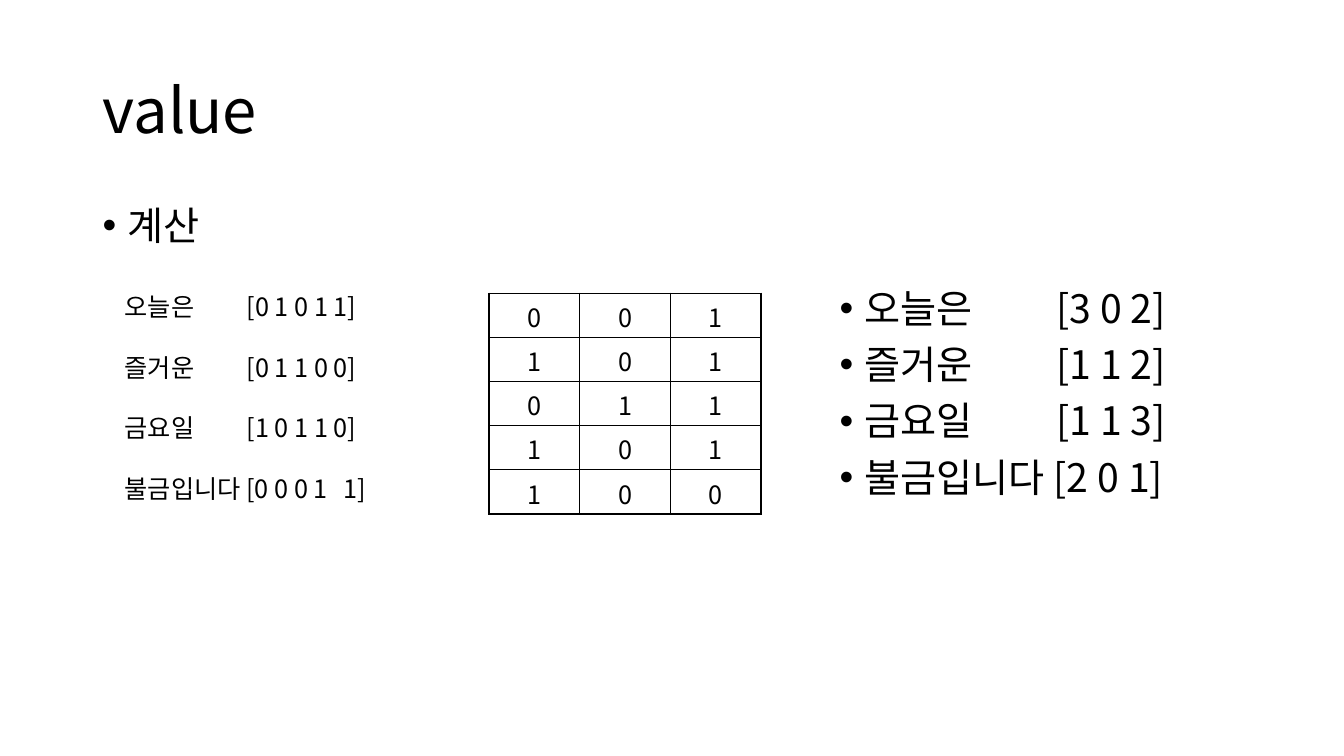
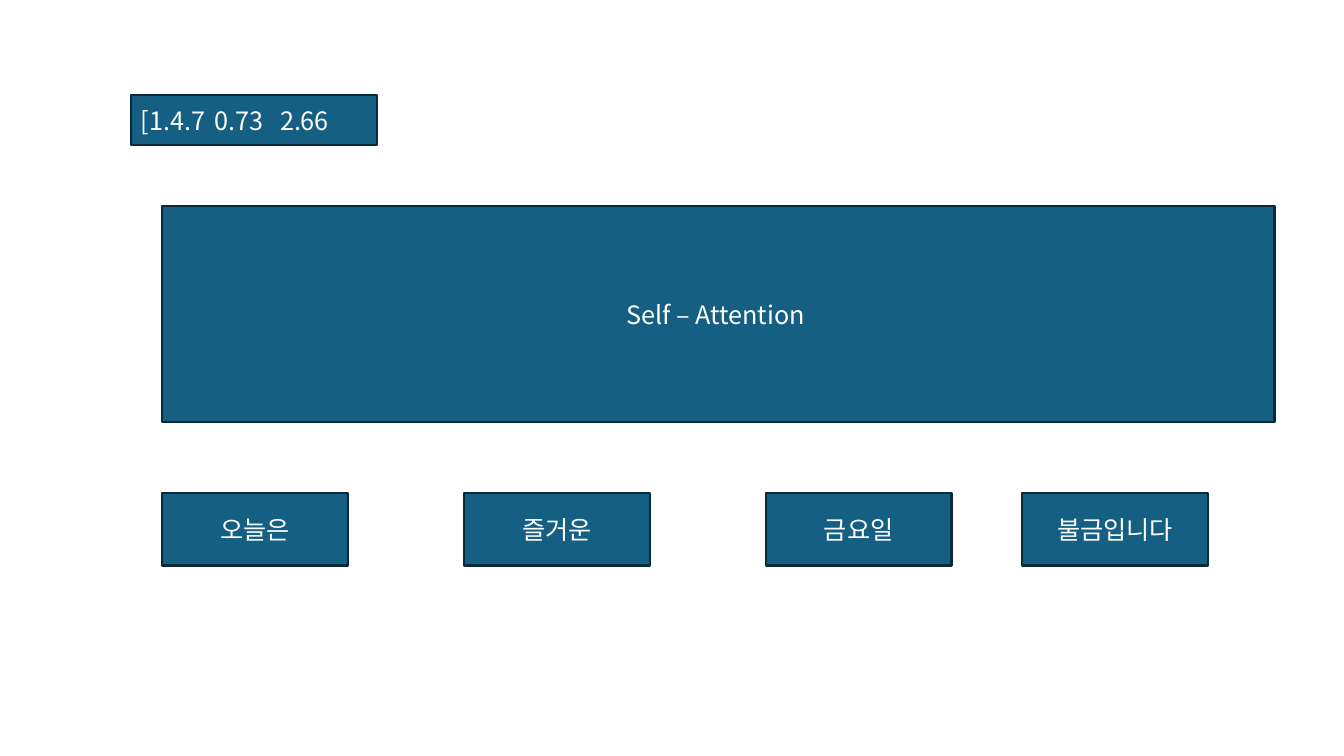
from dataclasses import dataclass

from lxml.etree import SubElement
from pptx import Presentation
from pptx.dml.color import RGBColor
from pptx.enum.shapes import MSO_SHAPE
from pptx.enum.text import MSO_ANCHOR, PP_ALIGN
from pptx.oxml.ns import qn
from pptx.util import Inches, Pt


@dataclass(frozen=True)
class Theme:
    font: str = "Noto Sans CJK KR"
    ink: str = "000000"
    paper: str = "FFFFFF"
    block: str = "156082"
    edge: str = "092A39"
    title: int = 44
    bullet: int = 28
    label: int = 18


THEME = Theme()
WIDTH, HEIGHT = Inches(13.33), Inches(7.5)
BULLET_FORMAT = {"line_spacing": 0.9, "space_before": Pt(10)}
WORDS = ["오늘은", "즐거운", "금요일", "불금입니다"]


def area(left, top, width, height):
    """Turn percentages of the slide into lengths."""
    return [int(share * side / 100) for share, side in
            zip((left, top, width, height), (WIDTH, HEIGHT) * 2)]


def apply(target, settings):
    for attribute, value in settings.items():
        setattr(target, attribute, value)


# Text
def write(paragraph, text, size, color, **settings):
    run = paragraph.add_run()
    run.text = text
    apply(run.font, {"name": THEME.font, "size": Pt(size)})
    run.font.color.rgb = RGBColor.from_string(color)
    SubElement(run.font._element, qn("a:ea"), typeface=THEME.font)
    apply(paragraph, settings)


def set_tabs(paragraph, stops):
    tabs = SubElement(paragraph._p.get_or_add_pPr(), qn("a:tabLst"))
    for stop in stops:
        SubElement(tabs, qn("a:tab"), pos=str(Inches(stop)), algn="l")


def set_bullet(paragraph):
    properties = paragraph._p.get_or_add_pPr()
    for side, indent in {"marL": 0.25, "indent": -0.25}.items():
        properties.set(side, str(Inches(indent)))
    SubElement(properties, qn("a:buFont"), typeface="Arial")
    SubElement(properties, qn("a:buChar"), char="•")


def add_lines(slide, place, lines, size, bulleted=False, stops=(),
              anchor=MSO_ANCHOR.TOP, **settings):
    frame = slide.shapes.add_textbox(*area(*place)).text_frame
    apply(frame, {"word_wrap": True, "vertical_anchor": anchor})
    for index, line in enumerate(lines):
        paragraph = frame.paragraphs[0] if index == 0 else frame.add_paragraph()
        write(paragraph, line, size, THEME.ink, **settings)
        if bulleted:
            set_bullet(paragraph)
        if "\t" in line:
            set_tabs(paragraph, stops[index])


def label_vectors(vectors):
    """Align vectors at a tab; the longest word takes a plain space."""
    gaps = ["\t"] * (len(WORDS) - 1) + [" "]
    return [word + gap + vector for word, gap, vector in zip(WORDS, gaps, vectors)]


# Table
def add_border(cell):
    properties = cell._tc.get_or_add_tcPr()
    for index, side in enumerate(("a:lnL", "a:lnR", "a:lnT", "a:lnB")):
        line = properties.makeelement(qn(side), {"w": str(Pt(1))})
        properties.insert(index, line)
        fill = SubElement(line, qn("a:solidFill"))
        SubElement(fill, qn("a:srgbClr"), val=THEME.ink)


def add_matrix(slide, place, rows):
    table = slide.shapes.add_table(len(rows), len(rows[0]), *area(*place)).table
    apply(table, {"first_row": False, "horz_banding": False})
    for row_index, row in enumerate(rows):
        for column_index, value in enumerate(row):
            cell = table.cell(row_index, column_index)
            cell.fill.background()
            write(cell.text_frame.paragraphs[0], value, THEME.label, THEME.ink,
                  alignment=PP_ALIGN.CENTER)
            add_border(cell)


# Blocks
def add_block(slide, place, text, alignment=PP_ALIGN.CENTER, stops=()):
    block = slide.shapes.add_shape(MSO_SHAPE.RECTANGLE, *area(*place))
    block.shadow.inherit = False
    block.fill.solid()
    block.fill.fore_color.rgb = RGBColor.from_string(THEME.block)
    block.line.color.rgb = RGBColor.from_string(THEME.edge)
    block.line.width = Pt(1.5)
    apply(block.text_frame, {"word_wrap": True, "vertical_anchor": MSO_ANCHOR.MIDDLE})
    paragraph = block.text_frame.paragraphs[0]
    write(paragraph, text, THEME.label, THEME.paper, alignment=alignment)
    if stops:
        set_tabs(paragraph, stops)


# Slides
def build_value(slide):
    add_lines(slide, (6.9, 5.33, 86.27, 19.33), ["value"], THEME.title,
              anchor=MSO_ANCHOR.MIDDLE, line_spacing=0.9)
    add_lines(slide, (6.9, 26.67, 86.27, 63.47), ["계산"], THEME.bullet,
              bulleted=True, **BULLET_FORMAT)
    add_matrix(slide, (36.38, 38.8, 20.25, 29.2),
               ["001", "101", "011", "101", "100"])
    inputs = label_vectors(["[0 1 0 1 1]", "[0 1 1 0 0]", "[1 0 1 1 0]", "[0 0 0 1\t1]"])
    add_lines(slide, (8.55, 37.87, 34.88, 37.73), inputs, THEME.label,
              stops=[[1.21]] * 3 + [[2.17]], space_after=Pt(21.7))
    results = label_vectors(["[3 0 2]", "[1 1 2]", "[1 1 3]", "[2 0 1]"])
    add_lines(slide, (61.74, 37.6, 38.26, 31.6), results, THEME.bullet,
              bulleted=True, stops=[[2.15]] * 3 + [[]], **BULLET_FORMAT)


def build_attention(slide):
    left, step, last = 12.08, 22.46, 76.07
    add_block(slide, (left, 27.2, 82.75, 28.67), "Self – Attention ")
    columns = [left + step * index for index in range(3)] + [last]
    for word, column in zip(WORDS, columns):
        add_block(slide, (column, 65.2, 13.8, 9.6), word)
    add_block(slide, (9.75, 12.53, 18.3, 6.67), "[1.4.7\t0.73\t2.66",
              PP_ALIGN.LEFT, stops=(0.73, 1.38))


def main():
    deck = Presentation()
    apply(deck, {"slide_width": WIDTH, "slide_height": HEIGHT})
    for build in (build_value, build_attention):
        build(deck.slides.add_slide(deck.slide_layouts[6]))
    deck.save("out.pptx")


if __name__ == "__main__":
    main()
